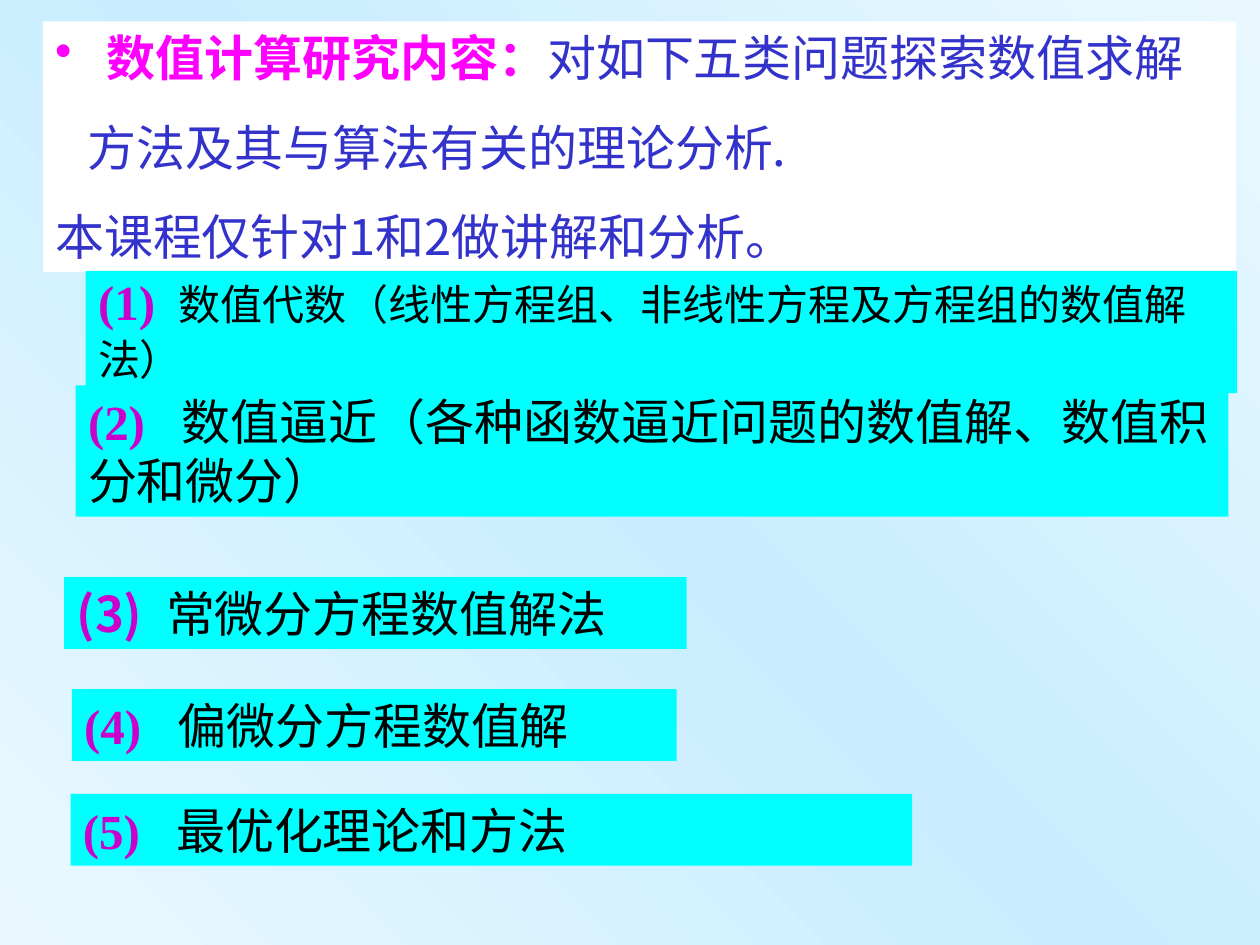
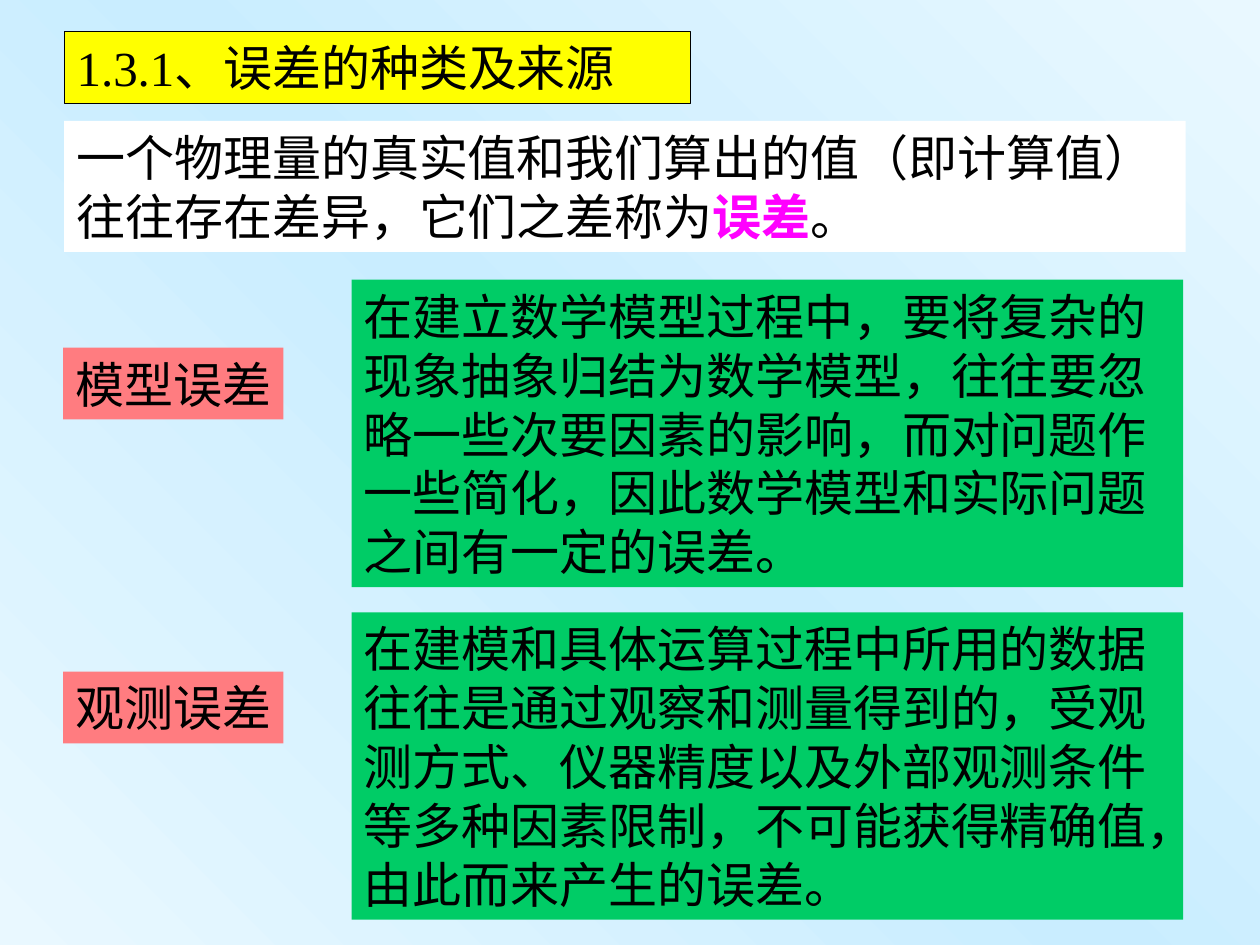
"""Builds two slides on numerical computation: its topics and its kinds of error."""
from copy import deepcopy
from lxml import etree
from pptx import Presentation
from pptx import util as u
from pptx.dml.color import RGBColor
from pptx.enum import text
from pptx.oxml import ns

PALE = RGBColor(0xE9, 0xF8, 0xFF)
SKY = RGBColor(0xC9, 0xED, 0xFF)
WHITE = RGBColor(0xFF, 0xFF, 0xFF)
BLACK = RGBColor(0, 0, 0)
CYAN = RGBColor(0, 0xFF, 0xFF)
PINK = RGBColor(0xFF, 0, 0xFF)
PLUM = RGBColor(0xCC, 0, 0xCC)
BLUE = RGBColor(0x33, 0x33, 0xCC)
YELLOW = RGBColor(0xFF, 0xFF, 0)
CORAL = RGBColor(0xFF, 0x7C, 0x80)
GREEN = RGBColor(0, 0xCC, 0x66)
SERIF = "Times New Roman"
SANS = "Noto Sans CJK SC"


def add_box(slide, left, top, wide, high, fill):
    box = slide.shapes.add_textbox(*map(u.Inches, (left, top, wide, high)))
    box.fill.solid()
    box.fill.fore_color.rgb = fill
    box.text_frame.word_wrap = True
    box.text_frame.auto_size = text.MSO_AUTO_SIZE.NONE
    return box


def write(para, parts, face=SERIF, color=BLACK, pitch=33.7):
    para.line_spacing = u.Pt(pitch)
    para.font.size = u.Pt(28)
    para.font.name = face
    para.font.color.rgb = color
    base = para.font._element
    etree.SubElement(base, ns.qn("a:ea")).set("typeface", SANS)
    for words, tint in parts:
        run = para.add_run()
        run.text = words
        if tint:
            run.font.bold = True
            run.font.color.rgb = tint


deck = Presentation()
deck.slide_width, deck.slide_height = u.Inches(10), u.Inches(7.5)
back = deck.slide_master.background.fill
back.gradient()
back.gradient_angle = 45
first, last = back.gradient_stops
first.color.rgb = last.color.rgb = PALE
first.position, last.position = 0, 1
stops = first._gs.getparent()
stops.insert(1, deepcopy(first._gs))
mid = back.gradient_stops[1]
mid.color.rgb = SKY
mid.position = 0.5
blank = deck.slide_layouts[6]

topics = deck.slides.add_slide(blank)
frame = add_box(topics, 0.34, 0.17, 9.47, 1.99, WHITE).text_frame
intro = [
    (0.41, -0.41, [("数值计算研究内容：", PINK), ("对如下五类问题探索数值求解", None)]),
    (0.26, 0, [("方法及其与算法有关的理论分析.", None)]),
    (0, 0, [("本课程仅针对1和2做讲解和分析。", None)]),
]
for row, (left, hang, parts) in enumerate(intro):
    para = frame.add_paragraph() if row else frame.paragraphs[0]
    props = para._p.get_or_add_pPr()
    props.set("marL", str(u.Inches(left)))
    props.set("indent", str(u.Inches(hang)))
    if row:
        para.space_before = u.Pt(17.5)
    else:
        tint = etree.SubElement(props, ns.qn("a:buClr"))
        etree.SubElement(tint, ns.qn("a:srgbClr")).set("val", str(PINK))
        etree.SubElement(props, ns.qn("a:buChar")).set("char", "•")
    write(para, parts, SANS, BLUE)

items = [
    (2, 0.6, 3.06, 9.15, 1.04, 0.74, "数值逼近（各种函数逼近问题的数值解、数值积分和微分）"),
    (5, 0.56, 6.3, 6.68, 0.57, 0.74, "最优化理论和方法"),
    (4, 0.57, 5.47, 4.8, 0.57, 0.74, "偏微分方程数值解"),
    (3, 0.51, 4.58, 4.94, 0.57, 0.71, "常微分方程数值解法"),
    (1, 0.68, 2.15, 9.14, 0.97, 0.64, "数值代数（线性方程组、非线性方程及方程组的数值解法）"),
]
for num, left, top, wide, high, gap, words in items:
    para = add_box(topics, left, top, wide, high, CYAN).text_frame.paragraphs[0]
    tabs = etree.SubElement(para._p.get_or_add_pPr(), ns.qn("a:tabLst"))
    etree.SubElement(tabs, ns.qn("a:tab"), pos=str(u.Inches(gap)), algn="l")
    parts = [(f"({num})", PLUM), ("\t" + words, None)]
    write(para, parts, SANS if num == 3 else SERIF, pitch=30.5 if num == 1 else 33.7)
    if num == 1:
        para.runs[1].font.size = u.Pt(24)

errors = deck.slides.add_slide(blank)
title = add_box(errors, 0.51, 0.25, 4.97, 0.57, YELLOW)
title.line.color.rgb = BLACK
title.line.width = u.Pt(0.75)
write(title.text_frame.paragraphs[0], [("1.3.1、误差的种类及来源", None)])
lead = add_box(errors, 0.51, 0.96, 8.9, 1.04, WHITE)
write(lead.text_frame.paragraphs[0], [
    ("一个物理量的真实值和我们算出的值（即计算值）往往存在差异，它们之差称为", None),
    ("误差", PINK),
    ("。", None),
])

kinds = [
    ("模型误差", 2.76, 2.22, "在建立数学模型过程中，要将复杂的现象抽象归结为数学模型，"
     "往往要忽略一些次要因素的影响，而对问题作一些简化，因此数学模型和实际问题之间有一定的误差。"),
    ("观测误差", 5.33, 4.86, "在建模和具体运算过程中所用的数据往往是通过观察和测量得到的，"
     "受观测方式、仪器精度以及外部观测条件等多种因素限制，不可能获得精确值，由此而来产生的误差。"),
]
for name, high, top, words in kinds:
    label = add_box(errors, 0.5, high, 1.75, 0.57, CORAL).text_frame
    label.word_wrap = False
    write(label.paragraphs[0], [(name, None)])
    note = add_box(errors, 2.79, top, 6.6, 2.44, GREEN).text_frame
    write(note.paragraphs[0], [(words, None)], SANS)

deck.save("out.pptx")
